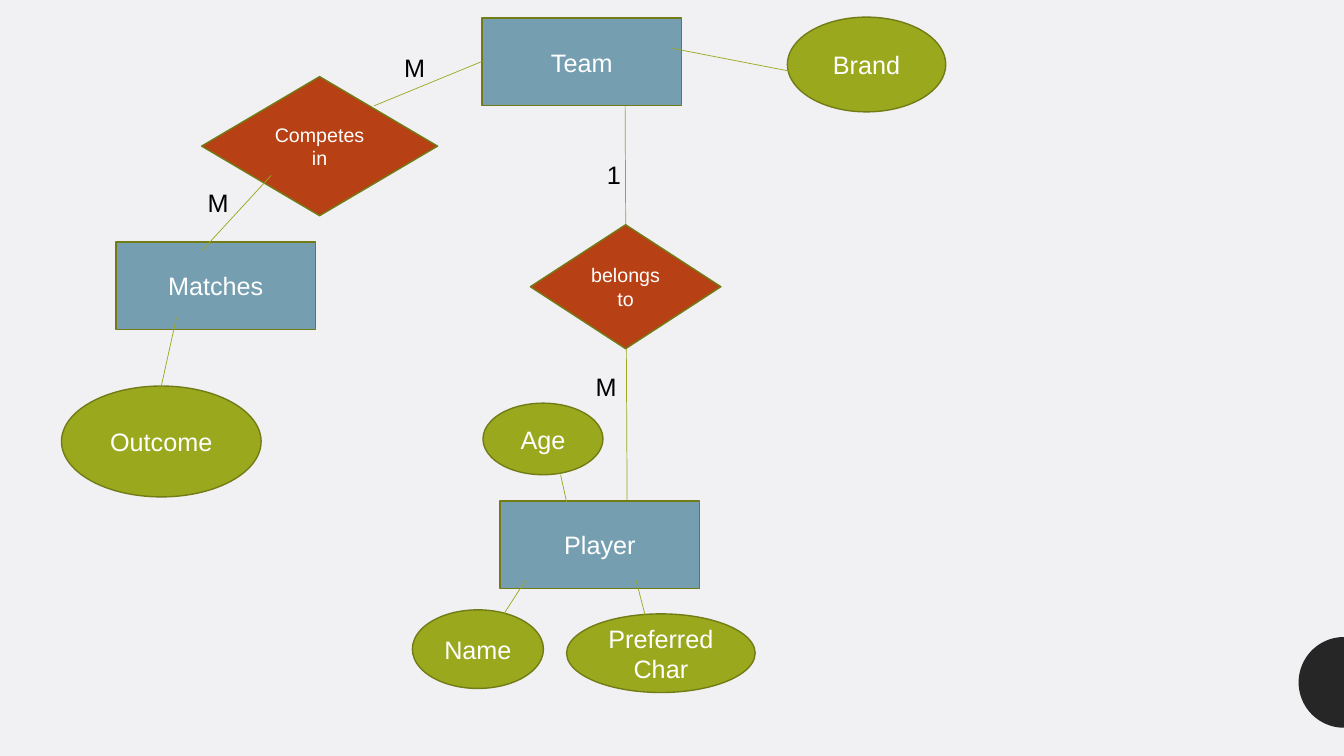
import math

import pptx
import pptx.dml.color
import pptx.enum.shapes
import pptx.enum.text
import pptx.oxml.ns
import pptx.util
from lxml import etree
from pptx.dml.color import RGBColor
from pptx.enum.shapes import MSO_SHAPE
from pptx.util import Inches

BACKGROUND = RGBColor(0xF1, 0xF0, 0xF3)
DARK = RGBColor(0x26, 0x26, 0x26)
BLUE = RGBColor(0x75, 0x9F, 0xB0)
GREEN = RGBColor(0x9A, 0xA8, 0x1E)
RUST = RGBColor(0xB7, 0x40, 0x15)
OUTLINE = RGBColor(0x72, 0x7C, 0x16)
WHITE = RGBColor(0xFF, 0xFF, 0xFF)
BLACK = RGBColor(0x00, 0x00, 0x00)

ENTITY_SIZE = (1.98, 0.87)
ENTITIES = [("Team", 4.78, 0.18), ("Player", 4.96, 4.97), ("Matches", 1.15, 2.4)]
ATTRIBUTES = [
    ("Brand", 7.81, 0.17, 1.57, 0.94),
    ("Age", 4.79, 4, 1.19, 0.71),
    ("Name", 4.09, 6.05, 1.3, 0.78),
    ("Preferred Char", 5.62, 6.09, 1.87, 0.78),
    ("Outcome", 0.61, 3.83, 1.98, 1.1),
]
RELATIONSHIPS = [
    ("belongs to", 5.26, 2.23, 1.89, 1.23),
    ("Competes in", 2, 0.76, 2.34, 1.38),
]
TEAM_TO_PLAYER = (6.22, 4.97, 6.2, 1.05)
LINKS = [
    (8.16, 0.77, 6.67, 0.48),
    (6.4, 6.11, 6.31, 5.76),
    (4.94, 6.18, 5.21, 5.76),
    (5.62, 4.98, 5.56, 4.71),
    (1.6, 3.83, 1.75, 3.15),
    (4.78, 0.61, 3.71, 1.05),
    (2.69, 1.74, 2, 2.49),
]
CARDINALITIES = [
    ("1", 5.92, 1.53),
    ("M", 5.81, 3.63),
    ("M", 1.96, 1.81),
    ("M", 3.91, 0.47),
]


def write_text(shape, text, size, color, alignment):
    frame = shape.text_frame
    frame.word_wrap = True
    frame.text = text
    paragraph = frame.paragraphs[0]
    paragraph.alignment = alignment
    font = paragraph.runs[0].font
    font.name = "Arial"
    font.size = pptx.util.Pt(size)
    font.color.rgb = color


def add_node(slide, kind, text, left, top, width, height, fill, size=18):
    shape = slide.shapes.add_shape(
        kind, Inches(left), Inches(top), Inches(width), Inches(height)
    )
    shape.shadow.inherit = False
    shape.fill.solid()
    shape.fill.fore_color.rgb = fill
    shape.line.color.rgb = OUTLINE
    shape.line.width = pptx.util.Pt(1)
    shape.text_frame.vertical_anchor = pptx.enum.text.MSO_ANCHOR.MIDDLE
    write_text(shape, text, size, WHITE, pptx.enum.text.PP_ALIGN.CENTER)


def add_link(slide, *ends):
    connector = slide.shapes.add_connector(
        pptx.enum.shapes.MSO_CONNECTOR.STRAIGHT, *map(Inches, ends)
    )
    connector.line.color.rgb = GREEN
    connector.line.width = pptx.util.Pt(0.5)
    properties = connector._element.spPr
    etree.SubElement(properties, pptx.oxml.ns.qn("a:effectLst"))


def add_cardinality(slide, text, left, top):
    box = slide.shapes.add_textbox(
        Inches(left), Inches(top), Inches(0.58), Inches(0.4)
    )
    write_text(box, text, 18, BLACK, pptx.enum.text.PP_ALIGN.LEFT)


def add_half_disc(slide, center_x, center_y, radius, steps=48):
    angles = [math.pi * (0.5 + step / steps) for step in range(steps + 1)]
    points = [
        (
            Inches(center_x + radius * math.cos(angle)),
            Inches(center_y + radius * math.sin(angle)),
        )
        for angle in angles
    ]
    builder = slide.shapes.build_freeform(*points[0])
    builder.add_line_segments(points[1:], close=True)
    disc = builder.convert_to_shape()
    disc.shadow.inherit = False
    disc.fill.solid()
    disc.fill.fore_color.rgb = DARK
    disc.line.fill.background()


def main():
    presentation = pptx.Presentation()
    presentation.slide_width = Inches(13.33)
    presentation.slide_height = Inches(7.5)
    slide = presentation.slides.add_slide(presentation.slide_layouts[6])
    slide.background.fill.solid()
    slide.background.fill.fore_color.rgb = BACKGROUND

    add_half_disc(slide, 13.33, 6.77, 0.45)
    add_link(slide, *TEAM_TO_PLAYER)
    for entity in ENTITIES:
        add_node(slide, MSO_SHAPE.RECTANGLE, *entity, *ENTITY_SIZE, BLUE)
    for attribute in ATTRIBUTES:
        add_node(slide, MSO_SHAPE.OVAL, *attribute, GREEN)
    for relationship in RELATIONSHIPS:
        add_node(slide, MSO_SHAPE.FLOWCHART_DECISION, *relationship, RUST, 14)
    for link in LINKS:
        add_link(slide, *link)
    for cardinality in CARDINALITIES:
        add_cardinality(slide, *cardinality)

    presentation.save("out.pptx")


if __name__ == "__main__":
    main()
